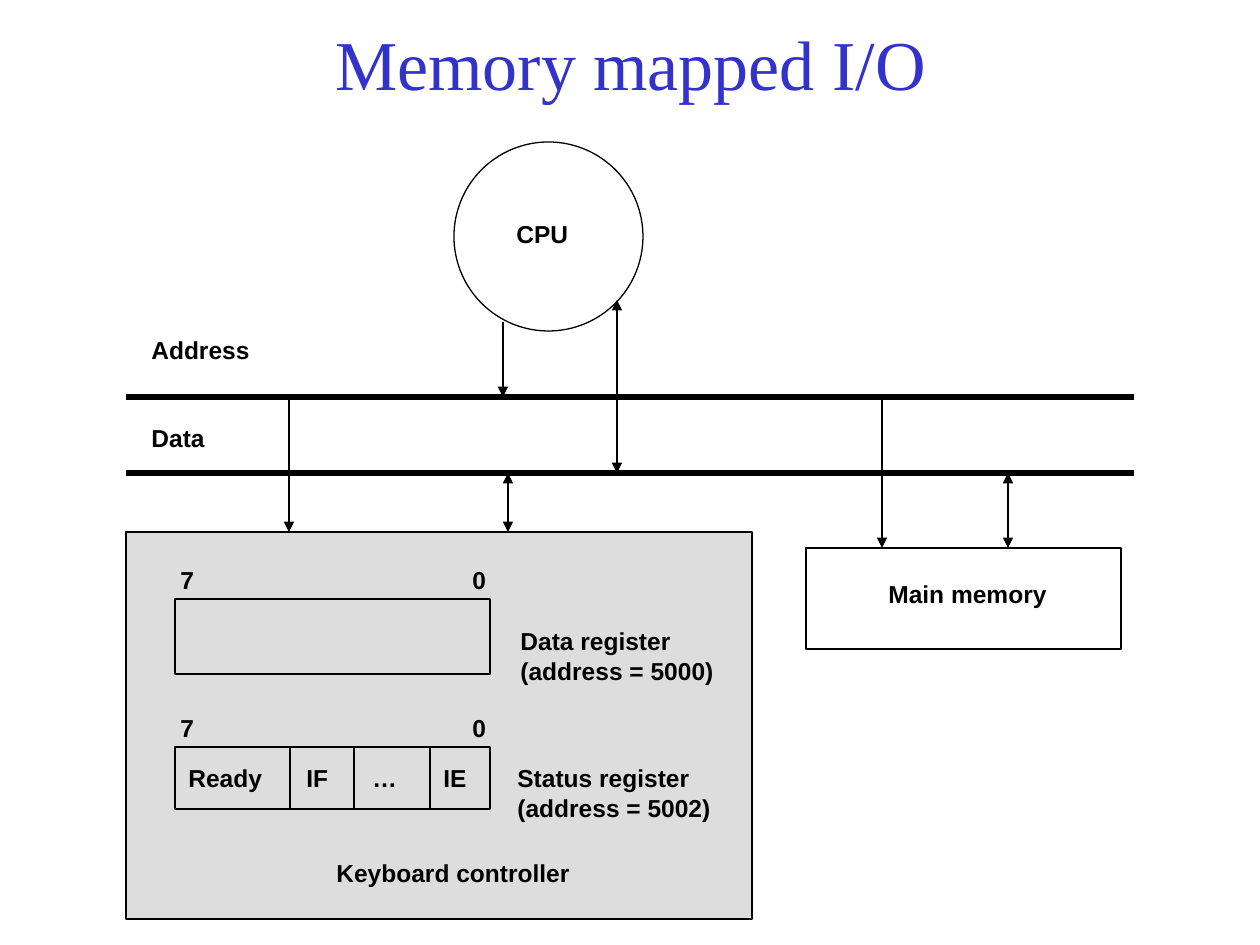
from lxml import etree
from pptx import Presentation
from pptx.dml.color import RGBColor
from pptx.enum.shapes import MSO_CONNECTOR, MSO_SHAPE
from pptx.enum.text import MSO_ANCHOR, MSO_AUTO_SIZE, PP_ALIGN
from pptx.oxml.ns import qn
from pptx.util import Emu, Pt

RECT, OVAL = MSO_SHAPE.RECTANGLE, MSO_SHAPE.OVAL
STRAIGHT = MSO_CONNECTOR.STRAIGHT
MIDDLE, CENTER = MSO_ANCHOR.MIDDLE, PP_ALIGN.CENTER
FIT = MSO_AUTO_SIZE.SHAPE_TO_FIT_TEXT
BLACK, GREY, BLUE = "000000", "DDDDDD", "3333CC"
ADDRESS_Y, DATA_Y = 397, 473
CONTROLLER_Y, MEMORY_Y = 532, 548
REGISTER_X, REGISTER_W = 175, 315
STATUS_Y, STATUS_H = 747, 62


def px(n):
    """Convert pixels to EMU."""
    return Emu(round(n * 914400 / 126))


def color(value):
    """Turn a hex string into a colour."""
    return RGBColor.from_string(value)


def add_run(p, text, font, size, fill, bold=False):
    """Add one formatted run to a paragraph."""
    r = p.add_run()
    r.text = text
    r.font.name = font
    r.font.size = Pt(size)
    r.font.bold = bold
    r.font.color.rgb = color(fill)


def add_title(s, text):
    """Add the centred slide title."""
    tf = s.shapes.add_textbox(px(95), px(21), px(1071), px(84)).text_frame
    tf.word_wrap = True
    tf.vertical_anchor = MIDDLE
    tf.paragraphs[0].alignment = CENTER
    add_run(tf.paragraphs[0], text, "Times New Roman", 40, BLUE)


def add_label(s, x, y, w, *lines):
    """Add a bold label with one paragraph per line."""
    h = 43 if len(lines) == 1 else 72
    tf = s.shapes.add_textbox(px(x), px(y), px(w), px(h)).text_frame
    tf.word_wrap = False
    tf.auto_size = FIT
    for i, line in enumerate(lines):
        p = tf.add_paragraph() if i else tf.paragraphs[0]
        add_run(p, line, "Arial", 14, BLACK, bold=True)


def add_box(s, kind, x, y, w, h, fill=None):
    """Add an outlined shape, filled if a colour is given."""
    sp = s.shapes.add_shape(kind, px(x), px(y), px(w), px(h))
    sp.shadow.inherit = False
    if fill:
        sp.fill.solid()
        sp.fill.fore_color.rgb = color(fill)
    else:
        sp.fill.background()
    sp.line.color.rgb = color(BLACK)
    sp.line.width = Pt(0.75)


def add_line(s, x1, y1, x2, y2, width=0.75, ends=()):
    """Add a straight line with triangles at the named ends."""
    line = s.shapes.add_connector(STRAIGHT, px(x1), px(y1), px(x2), px(y2))
    line.line.color.rgb = color(BLACK)
    line.line.width = Pt(width)
    ln = line.line._get_or_add_ln()
    for end in ends:
        etree.SubElement(ln, qn(f"a:{end}"), type="triangle")
    etree.SubElement(line._element.spPr, qn("a:effectLst"))


def add_register(s, y, h, label_y):
    """Add a register box with its bit numbers above."""
    add_box(s, RECT, REGISTER_X, y, REGISTER_W, h)
    for x, bit in ((168, "7"), (460, "0")):
        add_label(s, x, label_y, 45, bit)


def add_controller(s):
    """Add the keyboard controller and its two registers."""
    add_box(s, RECT, 126, CONTROLLER_Y, 626, 387, GREY)
    add_register(s, 599, 75, 559)
    add_register(s, STATUS_Y, STATUS_H, 707)
    for x in (290, 354, 430):
        add_line(s, x, STATUS_Y, x, STATUS_Y + STATUS_H)
    for x, w, text in ((176, 112, "Ready"), (294, 60, "IF"),
                       (360, 63, "…"), (431, 62, "IE")):
        add_label(s, x, 757, w, text)
    add_label(s, 508, 620, 218, "Data register", "(address = 5000)")
    add_label(s, 505, 757, 232, "Status register", "(address = 5002)")
    add_label(s, 324, 852, 272, "Keyboard controller")


def main():
    """Build and save the slide."""
    prs = Presentation()
    prs.slide_width, prs.slide_height = px(1260), px(945)
    s = prs.slides.add_slide(prs.slide_layouts[6])
    add_title(s, "Memory mapped I/O")
    add_box(s, OVAL, 454, 142, 189, 189)
    add_label(s, 504, 213, 83, "CPU")
    add_box(s, RECT, 806, MEMORY_Y, 315, 101)
    add_label(s, 876, 573, 190, "Main memory")
    add_label(s, 139, 329, 150, "Address")
    add_label(s, 139, 417, 120, "Data")
    add_controller(s)
    for y in (ADDRESS_Y, DATA_Y):
        add_line(s, 126, y, 1134, y, 3)
    for x, y1, y2 in ((503, 322, ADDRESS_Y), (289, ADDRESS_Y, CONTROLLER_Y),
                      (882, ADDRESS_Y, MEMORY_Y)):
        add_line(s, x, y1, x, y2, ends=("tailEnd",))
    for x, y1, y2 in ((617, 300, DATA_Y), (508, DATA_Y, CONTROLLER_Y),
                      (1008, DATA_Y, MEMORY_Y)):
        add_line(s, x, y1, x, y2, ends=("headEnd", "tailEnd"))
    prs.save("out.pptx")


if __name__ == "__main__":
    main()
